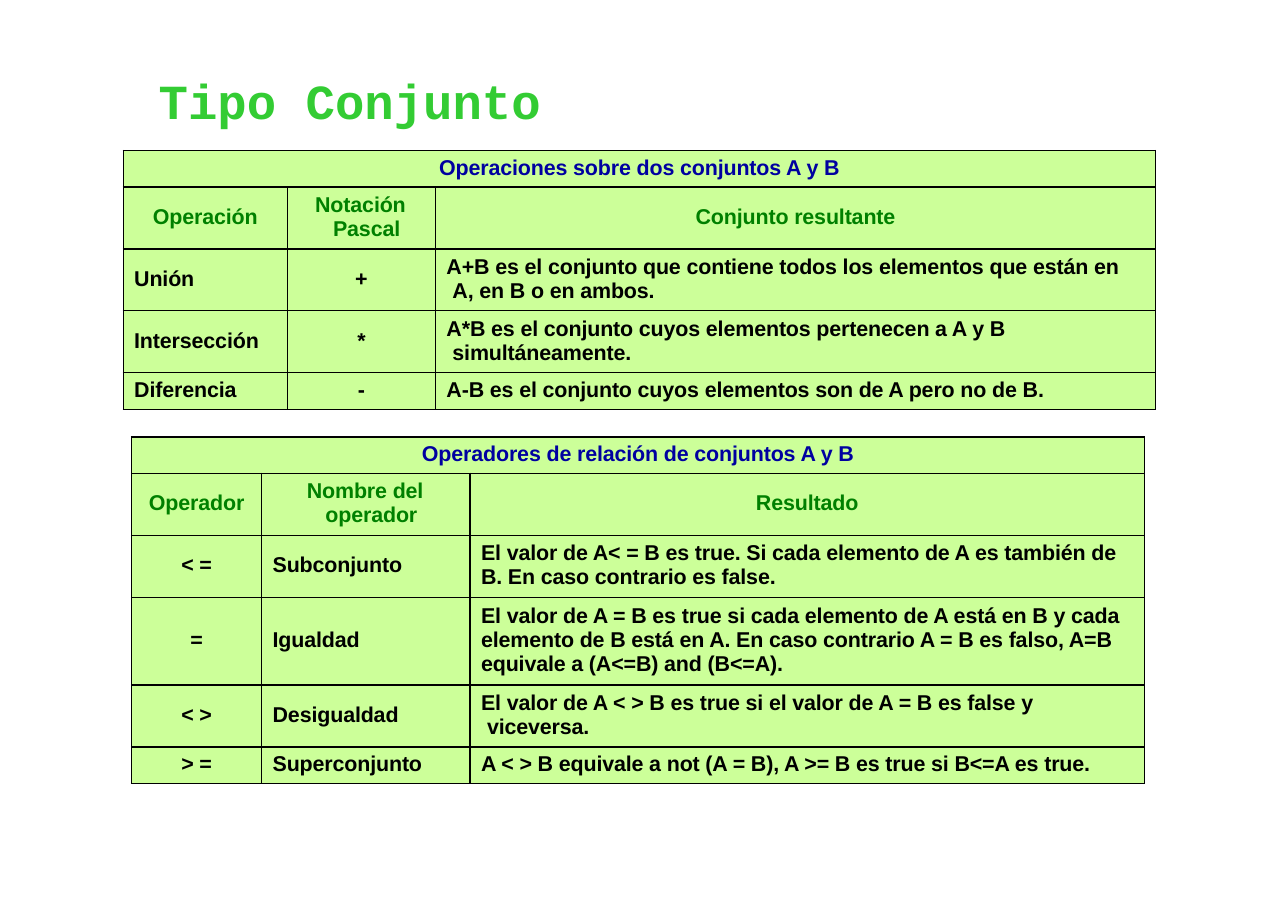
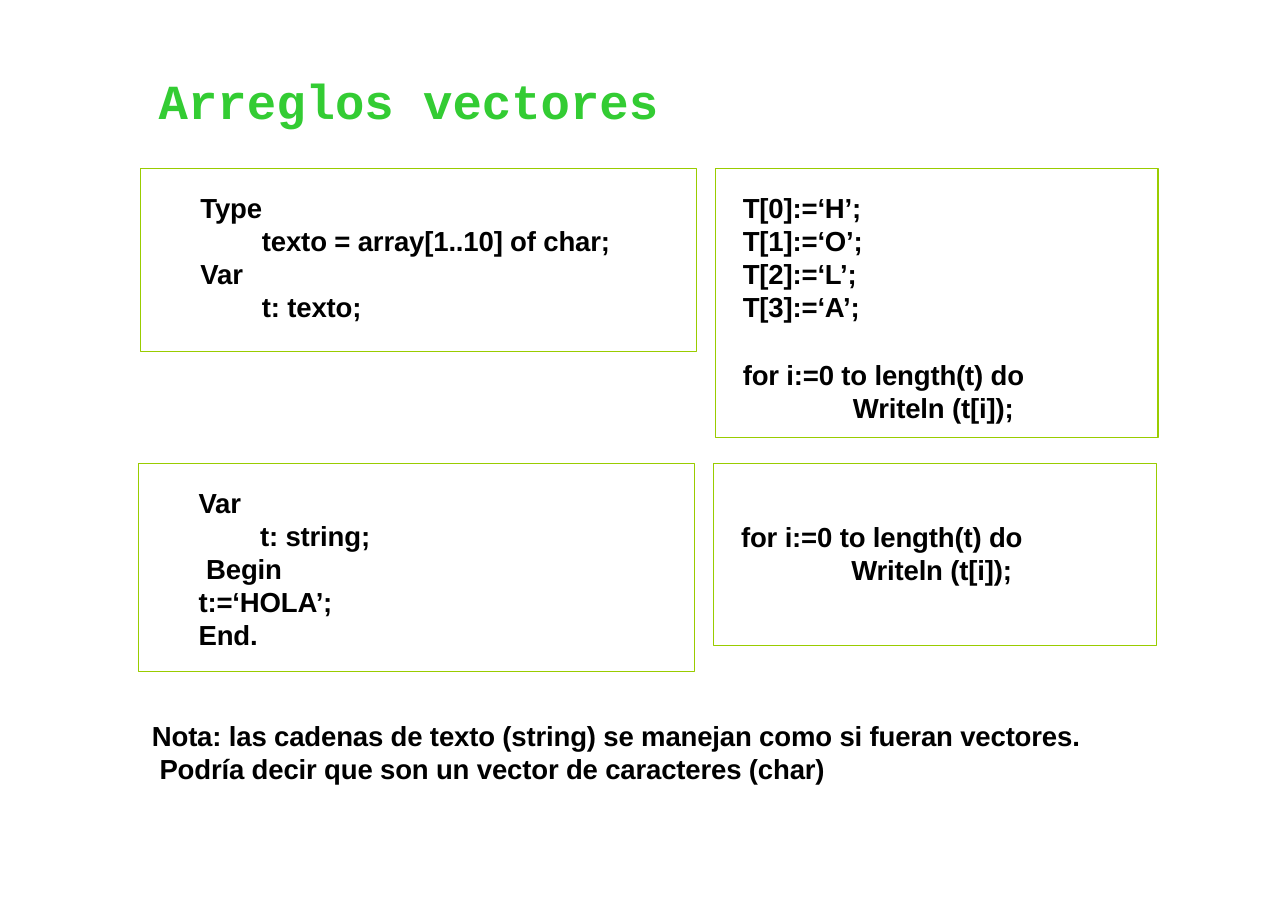
from copy import deepcopy
from dataclasses import dataclass

from lxml import etree
from pptx import Presentation
from pptx import util as u
from pptx.dml.color import RGBColor
from pptx.enum import shapes, text
from pptx.oxml import ns

GREEN, LIME, PALE = "33CC33", "99CC00", "CCFF99"
NAVY, LEAF, BLACK = "0000A0", "008000", "000000"
LEFT, MID = text.PP_ALIGN.LEFT, text.PP_ALIGN.CENTER
FLAT = {"margin_left": 0, "margin_right": 0, "margin_bottom": 0}


@dataclass
class Line:
    words: str
    left: float = 0
    first: float = 0
    before: float = 0
    align: int = LEFT


@dataclass
class Font:
    size: float
    hue: str
    name: str = "Arial"
    pitch: float = 0
    track: int = -10


@dataclass
class Box:
    x: float
    y: float
    w: float
    h: float
    top: float
    lines: list


@dataclass
class Grid:
    x: float
    y: float
    cols: list
    rows: list
    cells: list


HEAD = Font(32, GREEN, "Courier New", 38.4, 0)
BODY = Font(18, BLACK, pitch=21.6)
HUES = [NAVY, LEAF]


def paint(code: str) -> RGBColor:
    return RGBColor.from_string(code)


def put(thing, vals: dict) -> None:
    for key, val in vals.items():
        setattr(thing, key, val)


def write(frame, lines: list, font: Font) -> None:
    for n, line in enumerate(lines):
        para = frame.add_paragraph() if n else frame.paragraphs[0]
        para.text = line.words
        put(para, {"alignment": line.align, "space_before": u.Pt(line.before), "space_after": u.Pt(0)})
        if font.pitch:
            para.line_spacing = u.Pt(font.pitch)
        props = para._p.get_or_add_pPr()
        props.set("marL", str(u.Pt(line.left)))
        props.set("indent", str(u.Pt(line.first)))
        for run in para.runs:
            put(run.font, {"size": u.Pt(font.size), "bold": True, "name": font.name})
            run.font.color.rgb = paint(font.hue)
            run._r.get_or_add_rPr().set("spc", str(font.track))
        for gap in para._p.findall(ns.qn("a:br")):
            gap.insert(0, deepcopy(para.runs[0]._r.rPr))


def fit(shape, box: Box, font: Font) -> None:
    put(shape, {"left": u.Pt(box.x), "top": u.Pt(box.y), "width": u.Pt(box.w), "height": u.Pt(box.h)})
    put(shape.text_frame, FLAT | {
        "margin_top": u.Pt(box.top), "word_wrap": True,
        "auto_size": text.MSO_AUTO_SIZE.NONE, "vertical_anchor": text.MSO_ANCHOR.TOP})
    write(shape.text_frame, box.lines, font)


def start(deck, title: str, wide: float):
    slide = deck.slides.add_slide(deck.slide_layouts[5])
    fit(slide.shapes.title, Box(103, 45.6, wide, 40.3, 0.7, [Line(title, 0.7)]), HEAD)
    return slide


def frame(slide, box: Box) -> None:
    shape = slide.shapes.add_shape(shapes.MSO_SHAPE.RECTANGLE, 0, 0, 0, 0)
    shape.shadow.inherit = False
    shape.fill.background()
    shape.line.color.rgb = paint(LIME)
    shape.line.width = u.Pt(0.75)
    fit(shape, box, BODY)


def edge(cell) -> None:
    props = cell._tc.get_or_add_tcPr()
    for n, side in enumerate(("lnL", "lnR", "lnT", "lnB")):
        line = etree.Element(ns.qn(f"a:{side}"), w=str(u.Pt(1)))
        fill = etree.SubElement(line, ns.qn("a:solidFill"))
        etree.SubElement(fill, ns.qn("a:srgbClr"), val=BLACK)
        props.insert(n, line)


def chart(slide, grid: Grid) -> None:
    size = len(grid.rows), len(grid.cols)
    table = slide.shapes.add_table(
        *size, u.Pt(grid.x), u.Pt(grid.y), u.Pt(sum(grid.cols)), u.Pt(sum(grid.rows))).table
    put(table, {"first_row": False, "horz_banding": False})
    for col, wide in zip(table.columns, grid.cols):
        col.width = u.Pt(wide)
    for row, high in zip(table.rows, grid.rows):
        row.height = u.Pt(high)
    table.cell(0, 0).merge(table.cell(0, size[1] - 1))
    for r in range(size[0]):
        for c in range(size[1]):
            cell = table.cell(r, c)
            put(cell, FLAT | {"margin_top": 0, "margin_bottom": u.Pt(1.5),
                              "vertical_anchor": text.MSO_ANCHOR.MIDDLE})
            cell.fill.solid()
            cell.fill.fore_color.rgb = paint(PALE)
            edge(cell)
            if c < len(grid.cells[r]):
                hue = HUES[r] if r < 2 else BLACK
                write(cell.text_frame, [grid.cells[r][c]], Font(14, hue))


def mid(words: str) -> Line:
    return Line(words, align=MID)


def side(words: str) -> Line:
    return Line(words, 7.2)


def hang(words: str, left: float = 11.1, first: float = -3.9) -> Line:
    return Line(words, left, first)


LOOP = "for i:=0 to length(t) do"
PRINT = Line("Writeln (t[i]);", 90)

LINKS = Grid(86, 285.6, [85, 136.2, 440.6], [23.8, 40.5, 40.5, 57.3, 40.5, 23.8], [
    [mid("Operadores de relación de conjuntos A y B")],
    [mid("Operador"), hang("Nombre del\voperador", 41.7, -12.2), mid("Resultado")],
    [mid("< ="), side("Subconjunto"),
     side("El valor de A< = B es true. Si cada elemento de A es también de\v"
          "B. En caso contrario es false.")],
    [mid("="), side("Igualdad"),
     side("El valor de A = B es true si cada elemento de A está en B y cada "
          "elemento de B está en A. En caso contrario A = B es falso, A=B "
          "equivale a (A<=B) and (B<=A).")],
    [mid("< >"), side("Desigualdad"),
     hang("El valor de A < > B es true si el valor de A = B es false y\vviceversa.")],
    [mid("> ="), side("Superconjunto"),
     side("A < > B equivale a not (A = B), A >= B es true si B<=A es true.")],
])

SETS = Grid(80.5, 98.4, [107.4, 96.7, 470.6], [23.8, 40.5, 40.5, 40.5, 23.8], [
    [mid("Operaciones sobre dos conjuntos A y B")],
    [mid("Operación"), hang("Notación\vPascal", 29.8, -11.7), mid("Conjunto resultante")],
    [side("Unión"), mid("+"),
     hang("A+B es el conjunto que contiene todos los elementos que están en\vA, en B o en ambos.")],
    [side("Intersección"), mid("*"),
     hang("A*B es el conjunto cuyos elementos pertenecen a A y B\vsimultáneamente.")],
    [side("Diferencia"), mid("-"),
     side("A-B es el conjunto cuyos elementos son de A pero no de B.")],
])

CODE = [
    Box(92, 110.2, 363, 119.5, 14.4, [
        Line("Type", 39), Line("texto = array[1..10] of char;", 79.2),
        Line("Var", 39), Line("t: texto;", 79.2)]),
    Box(467.4, 110.2, 289.4, 175.7, 14.4, [
        *(Line(f"T[{n}]:=‘{sign}’;", 18) for n, sign in enumerate("HOLA")),
        Line(LOOP, 18, before=22.8), PRINT]),
    Box(90.8, 303, 363, 136.1, 14.4, [
        Line("Var", 39), Line("t: string;", 79.2), Line("Begin", 44),
        Line("t:=‘HOLA’;", 39), Line("End.", 39)]),
    Box(466.3, 303, 289.4, 118.8, 36.6, [Line(LOOP, 18), PRINT]),
]

NOTE = Box(98.6, 469.4, 640, 45.4, 0.7, [
    hang("Nota: las cadenas de texto (string) se manejan como si fueran vectores.\v"
         "Podría decir que son un vector de caracteres (char)", 5.7, -5)])


def main() -> None:
    deck = Presentation()
    put(deck, {"slide_width": u.Pt(841.7), "slide_height": u.Pt(594.7)})
    slide = start(deck, "Tipo Conjunto", 252.7)
    for grid in (LINKS, SETS):
        chart(slide, grid)
    slide = start(deck, "Arreglos vectores", 329)
    for box in CODE:
        frame(slide, box)
    fit(slide.shapes.add_textbox(0, 0, 0, 0), NOTE, BODY)
    deck.save("out.pptx")


if __name__ == "__main__":
    main()
